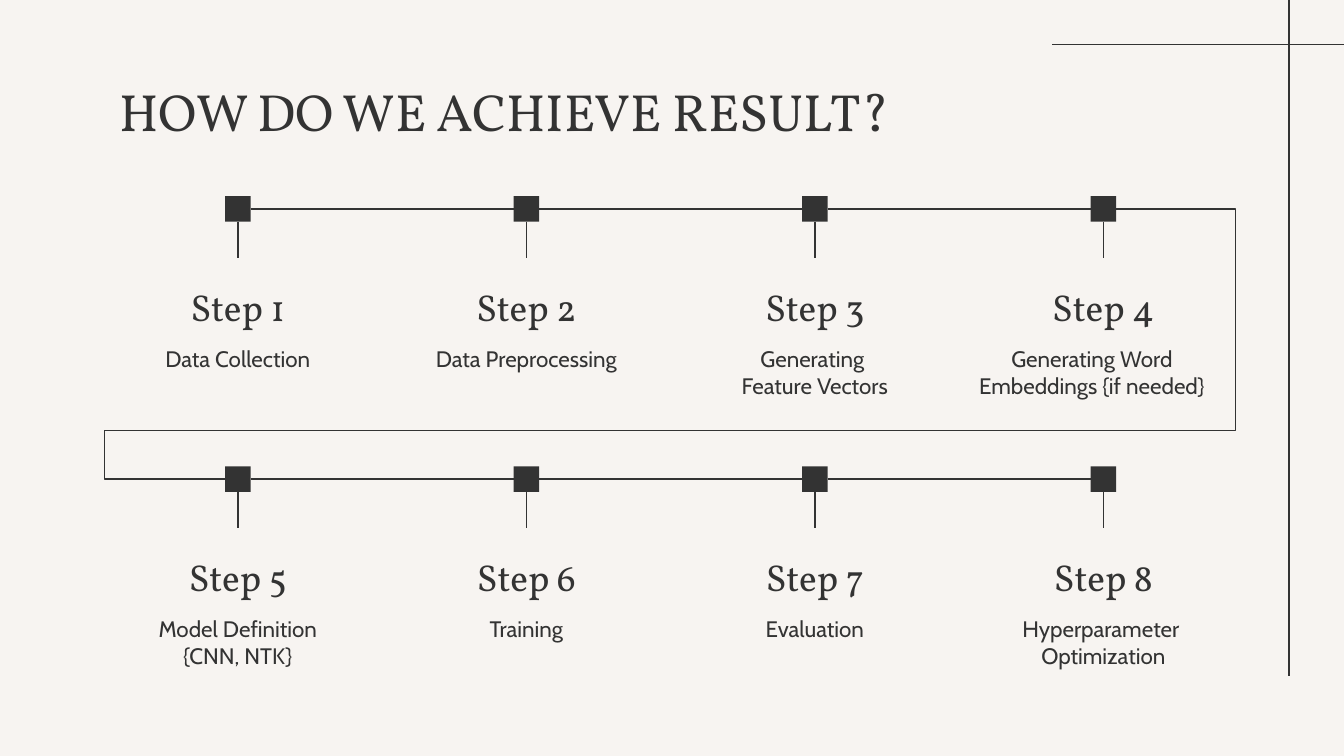
from lxml import etree
from pptx import Presentation
from pptx.dml.color import RGBColor
from pptx.enum.shapes import MSO_CONNECTOR, MSO_SHAPE
from pptx.enum.text import MSO_ANCHOR, MSO_AUTO_SIZE, PP_ALIGN
from pptx.oxml.ns import qn
from pptx.util import Inches, Pt

INK = RGBColor(0x33, 0x33, 0x33)
PAPER = RGBColor(0xF7, 0xF4, 0xF1)
SERIF, SANS = "Vollkorn", "Cabin"
STRAIGHT, ELBOW = MSO_CONNECTOR.STRAIGHT, MSO_CONNECTOR.ELBOW
RECTANGLE = MSO_SHAPE.RECTANGLE
TOP, BOTTOM = MSO_ANCHOR.TOP, MSO_ANCHOR.BOTTOM
LEFT, CENTER = PP_ALIGN.LEFT, PP_ALIGN.CENTER
NO_AUTOFIT = MSO_AUTO_SIZE.NONE

# Connection sites of a rectangle
WEST, SOUTH, EAST = 1, 2, 3

# Widescreen, 16:9
SLIDE_W = 10
SLIDE_H = SLIDE_W * 9 / 16
STEPS_LEFT, LAST_STEP_LEFT = 0.78, 7.22
STEP_W, STEP_PITCH = 1.98, (LAST_STEP_LEFT - STEPS_LEFT) / 3
ROW_TOPS = (1.46, 3.47)
MARKER = 0.19

# Each step: description, extra width to the left of its column
ROWS = [
    [("Data Collection", 0), ("Data Preprocessing", 0),
     ("Generating \nFeature Vectors", 0),
     ("Generating Word Embeddings {if needed}", 0.17)],
    [("Model Definition\n{CNN, NTK}", 0), ("Training", 0),
     ("Evaluation", 0), ("Hyperparameter \nOptimization", 0)],
]


def add_line(slide, start, end, kind=STRAIGHT):
    line = slide.shapes.add_connector(kind, *map(Inches, (*start, *end)))
    line.line.color.rgb = INK
    line.line.width = Pt(0.75)
    etree.SubElement(line._element.spPr, qn("a:effectLst"))
    return line


def write(shape, text, font, size, align, anchor):
    frame = shape.text_frame
    frame.word_wrap = True
    frame.auto_size = NO_AUTOFIT
    frame.vertical_anchor = anchor
    frame.margin_left = frame.margin_right = Inches(0.1)
    frame.margin_top = frame.margin_bottom = Inches(0.1)
    paragraph = frame.paragraphs[0]
    paragraph.text = text
    paragraph.alignment = align
    for run in paragraph.runs:
        run.font.name = font
        run.font.size = Pt(size)
        run.font.color.rgb = INK


def add_label(slide, box, *style):
    write(slide.shapes.add_textbox(*map(Inches, box)), *style)


def add_title(slide, left, top, width, height):
    title = slide.shapes.title
    title.left, title.top = Inches(left), Inches(top)
    title.width, title.height = Inches(width), Inches(height)
    write(title, "HOW DO WE ACHIEVE RESULT?", SERIF, 28, LEFT, TOP)


def add_step(slide, left, top, number, description, extra):
    """Marker, stem, heading and description; returns the marker."""
    center = left + STEP_W / 2
    marker = slide.shapes.add_shape(
        RECTANGLE, Inches(center - MARKER / 2), Inches(top),
        Inches(MARKER), Inches(MARKER))
    marker.shadow.inherit = False
    marker.fill.solid()
    marker.fill.fore_color.rgb = INK
    marker.line.fill.background()

    stem = add_line(slide, (center, top + MARKER), (center, top + 0.46))
    stem.begin_connect(marker, SOUTH)

    add_label(slide, (left, top + 0.46, STEP_W, 0.63),
              f"Step {number}", SERIF, 20, CENTER, BOTTOM)
    add_label(slide, (left - extra, top + 1.01, STEP_W + extra, 0.57),
              description, SANS, 12, CENTER, TOP)
    return marker


def join(slide, first, second, kind=STRAIGHT):
    """Connect the right side of one marker to the left side of the next."""
    line = add_line(slide, (0, 0), (1, 1), kind)
    line.begin_connect(first, EAST)
    line.end_connect(second, WEST)
    return line


def add_step_row(slide, left, top, first_number, steps):
    markers = [
        add_step(slide, left + i * STEP_PITCH, top, first_number + i, *step)
        for i, step in enumerate(steps)]
    for first, second in zip(markers, markers[1:]):
        join(slide, first, second)
    return markers


def add_row_return(slide, last, first):
    """Five-part elbow from the end of one row to the start of the next."""
    elbow = join(slide, last, first, ELBOW)
    geometry = elbow._element.spPr.find(qn("a:prstGeom"))
    geometry.set("prst", "bentConnector5")
    guides = geometry.find(qn("a:avLst"))
    if guides is None:
        guides = etree.SubElement(geometry, qn("a:avLst"))
    for i, value in enumerate((-13400, 82100, 113500), start=1):
        etree.SubElement(guides, qn("a:gd"), name=f"adj{i}", fmla=f"val {value}")


def main():
    prs = Presentation()
    prs.slide_width, prs.slide_height = Inches(SLIDE_W), Inches(SLIDE_H)
    slide = prs.slides.add_slide(prs.slide_layouts.get_by_name("Title Only"))
    slide.background.fill.solid()
    slide.background.fill.fore_color.rgb = PAPER

    # Crossing rules in the corner
    add_line(slide, (7.83, 0.33), (SLIDE_W, 0.33))
    add_line(slide, (9.59, 5.03), (9.59, 0))

    add_title(slide, 0.79, 0.49, 8.43, 0.63)

    # Two rows of steps and the line between them
    upper, lower = [
        add_step_row(slide, STEPS_LEFT, top, 1 + 4 * i, steps)
        for i, (top, steps) in enumerate(zip(ROW_TOPS, ROWS))]
    add_row_return(slide, upper[-1], lower[0])

    prs.save("out.pptx")


if __name__ == "__main__":
    main()
